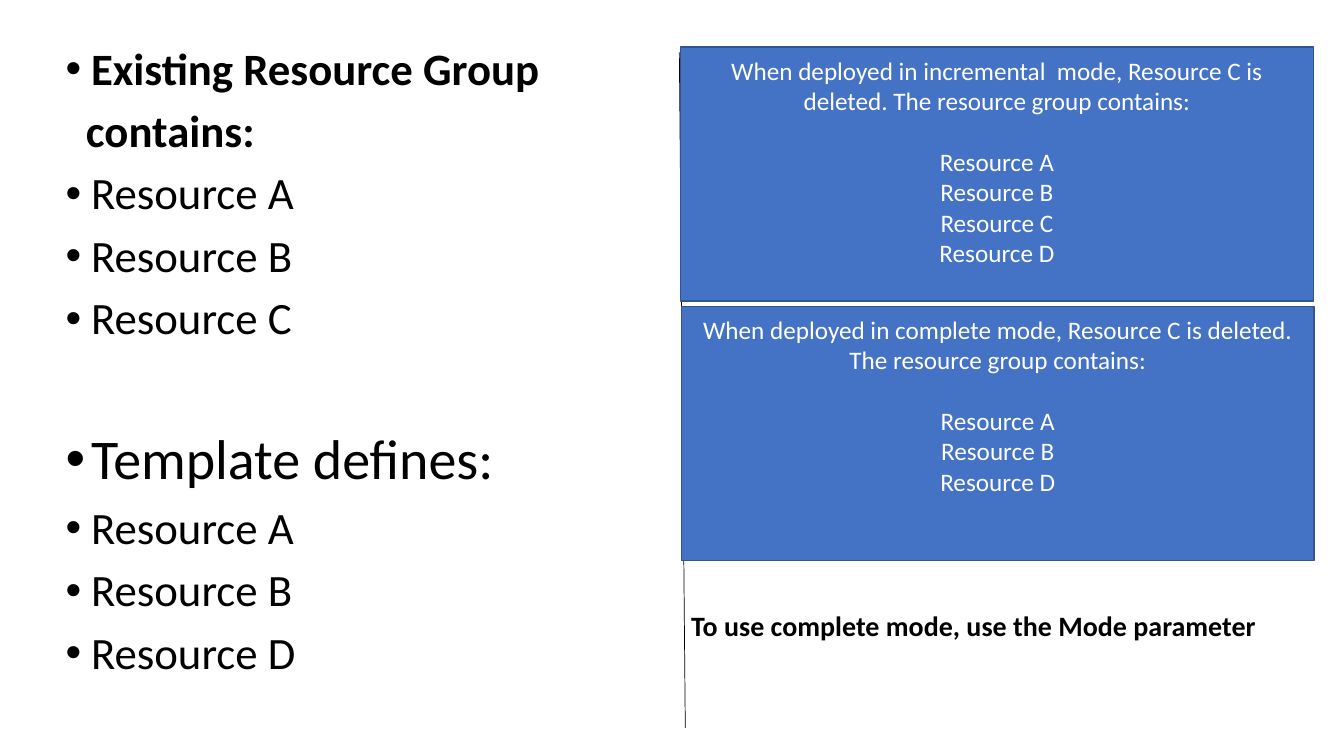
"""Builds a slide comparing incremental and complete deployment modes."""
import dataclasses

import lxml.etree
import pptx
import pptx.dml.color
import pptx.enum.shapes
import pptx.enum.text
import pptx.oxml.ns
import pptx.util

Cm = pptx.util.Cm
Pt = pptx.util.Pt
COLOURS = {"ink": "000000", "panel": "4472C4", "edge": "325491", "light": "FFFFFF"}
FONT = "Calibri"
INDENT = Cm(0.64)


@dataclasses.dataclass(frozen=True)
class ListItem:
    """One line of the resource list."""
    text: str
    size: int = 32
    bold: bool = False
    bullet: bool = True
    before: int = 10


@dataclasses.dataclass(frozen=True)
class ModePanel:
    """A filled box telling what one mode leaves in the group."""
    left: float
    top: float
    heading: str
    resources: str


ITEMS = [
    ListItem("Existing Resource Group", bold=True),
    ListItem("contains:", bold=True, bullet=False),
    *[ListItem(f"Resource {letter}") for letter in "ABC"],
    ListItem("Template defines:", size=40, before=62),
    *[ListItem(f"Resource {letter}") for letter in "ABD"],
]
COMPLETE = ModePanel(
    17.17, 7.72,
    "When deployed in complete mode, Resource C is deleted. The resource group contains:",
    "ABD")
INCREMENTAL = ModePanel(
    17.15, 1.19,
    "When deployed in incremental  mode, Resource C is deleted. The resource group contains:",
    "ABCD")


def colour(name: str) -> pptx.dml.color.RGBColor:
    """Return a named colour."""
    return pptx.dml.color.RGBColor.from_string(COLOURS[name])


def add_span(para, text: str, size: int, ink: str, bold: bool = False) -> None:
    """Add one formatted run to a paragraph."""
    span = para.add_run()
    span.text = text
    span.font.name = FONT
    span.font.size = Pt(size)
    span.font.bold = bold
    span.font.color.rgb = colour(ink)


def next_para(frame, index: int):
    """Return the first paragraph, or a new one after it."""
    return frame.add_paragraph() if index else frame.paragraphs[0]


def fill_list(box, items: list[ListItem]) -> None:
    """Place the body placeholder and write the list into it."""
    box.left, box.top, box.width, box.height = Cm(1.4), Cm(1.04), Cm(31.75), Cm(17.3)
    frame = box.text_frame
    frame.auto_size = pptx.enum.text.MSO_AUTO_SIZE.NONE
    frame.vertical_anchor = pptx.enum.text.MSO_ANCHOR.TOP
    for index, item in enumerate(items):
        para = next_para(frame, index)
        para.line_spacing = 0.9
        para.space_before = Pt(item.before)
        properties = para._p.get_or_add_pPr()
        properties.set("marL", str(INDENT if item.bullet else Cm(0.51)))
        properties.set("indent", str(-INDENT if item.bullet else 0))
        if not item.bullet:
            lxml.etree.SubElement(properties, pptx.oxml.ns.qn("a:buNone"))
        add_span(para, item.text, item.size, "ink", item.bold)


def add_panel(page, panel: ModePanel) -> None:
    """Draw one mode panel with its heading and resources."""
    box = page.shapes.add_shape(
        pptx.enum.shapes.MSO_SHAPE.RECTANGLE,
        Cm(panel.left), Cm(panel.top), Cm(15.95), Cm(6.4))
    box.shadow.inherit = False
    box.fill.solid()
    box.fill.fore_color.rgb = colour("panel")
    box.line.color.rgb = colour("edge")
    box.line.width = Pt(1)
    frame = box.text_frame
    frame.word_wrap = True
    frame.vertical_anchor = pptx.enum.text.MSO_ANCHOR.TOP
    frame.margin_top = Cm(0.2)
    lines = [panel.heading, *[f"Resource {letter}" for letter in panel.resources]]
    for index, line in enumerate(lines):
        para = next_para(frame, index)
        para.alignment = pptx.enum.text.PP_ALIGN.CENTER
        para.space_before = Pt(22 if index == 1 else 0)
        add_span(para, line, 18, "light")


def add_divider(page) -> None:
    """Draw the thin line between the list and the panels."""
    divider = page.shapes.add_connector(
        pptx.enum.shapes.MSO_CONNECTOR.STRAIGHT,
        Cm(17.12), Cm(1.32), Cm(17.27), Cm(18.34))
    divider.line.color.rgb = colour("ink")
    divider.line.width = Pt(0.5)
    lxml.etree.SubElement(divider._element.spPr, pptx.oxml.ns.qn("a:effectLst"))


def add_note(page) -> None:
    """Write the closing note under the panels."""
    box = page.shapes.add_textbox(Cm(17.17), Cm(15.21), Cm(15.82), Cm(1.12))
    box.text_frame.word_wrap = True
    add_span(box.text_frame.paragraphs[0],
             "To use complete mode, use the Mode parameter", 20, "ink", True)


def main() -> None:
    """Build and save the deck."""
    deck = pptx.Presentation()
    deck.slide_width, deck.slide_height = Cm(33.87), Cm(19.05)
    page = deck.slides.add_slide(deck.slide_layouts[1])
    title = page.shapes.title._element
    title.getparent().remove(title)
    fill_list(page.placeholders[1], ITEMS)
    add_divider(page)
    add_panel(page, COMPLETE)
    add_note(page)
    add_panel(page, INCREMENTAL)
    deck.save("out.pptx")


if __name__ == "__main__":
    main()
